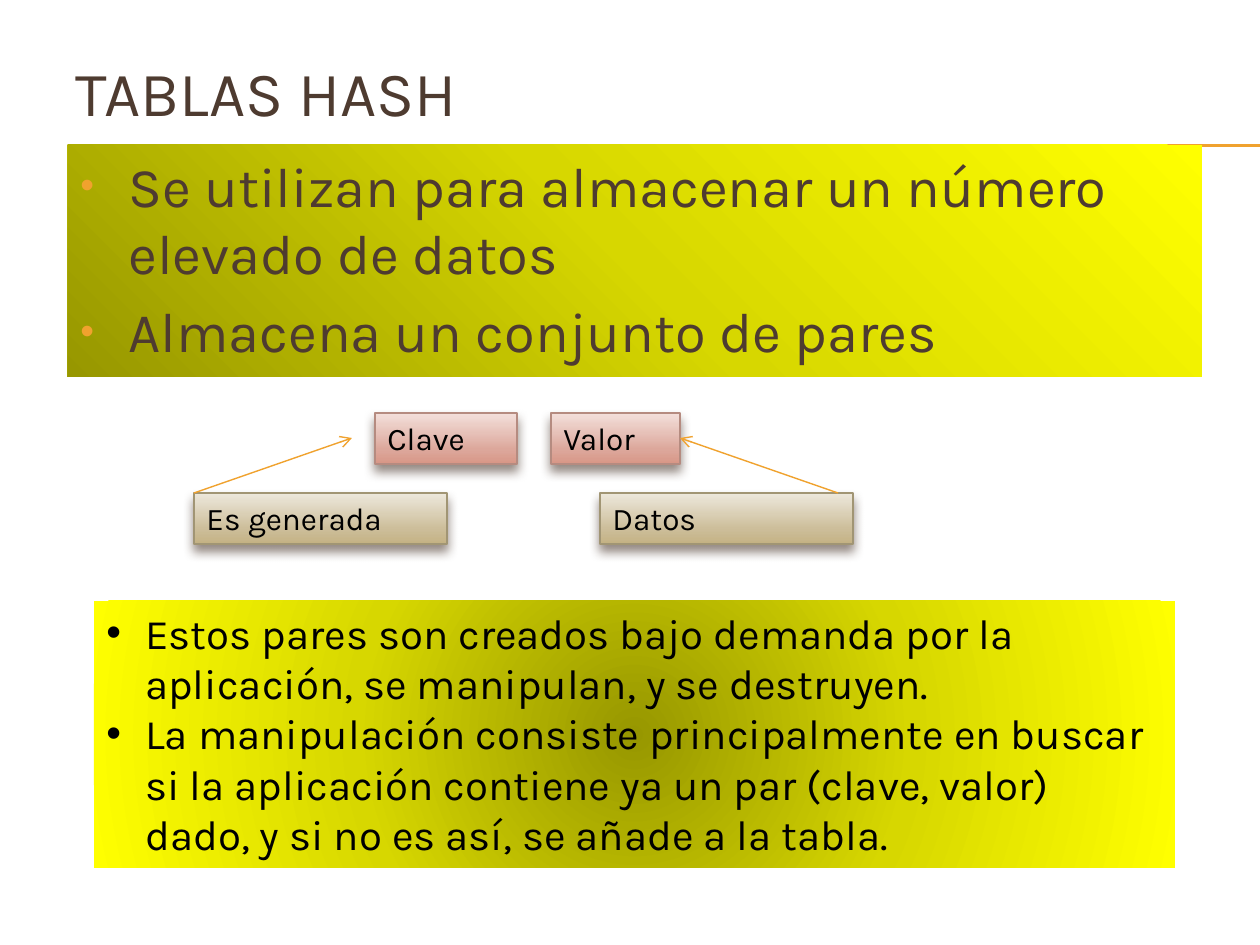
"""Build the slide about hash tables."""
from lxml import etree
from pptx import Presentation
from pptx import util as u
from pptx.dml.color import RGBColor
from pptx.enum import shapes, text
from pptx.oxml import ns

SCALE = 914400 / 126
FONT = "Karla"
COLORS = {"brown": "4E3B30", "orange": "F0A22E", "black": "000000",
          "pink_edge": "B58B80", "tan_edge": "A19574"}
YELLOW = [(0, "979700"), (50, "D7D700"), (100, "FFFF00")]
PINK = [(0, "F3E0DB"), (72, "DCA79B"), (100, "D89787")]
TAN = [(0, "EDE8DC"), (72, "CCBD99"), (100, "C4B284")]
CORNER = {"l": 0, "t": 100, "r": 100, "b": 0}
CENTRE = {"l": 50, "t": 50, "r": 50, "b": 50}


def px(*lengths):
    """Turn pixels into EMU."""
    return [u.Emu(round(length * SCALE)) for length in lengths]


def rgb(name):
    """Return a named colour."""
    return RGBColor.from_string(COLORS[name])


def add_xml(parent, tag, **values):
    """Append a drawing element with attributes."""
    return etree.SubElement(parent, ns.qn("a:" + tag),
                            {key: str(value) for key, value in values.items()})


def apply(target, values):
    """Set attributes from a dict."""
    for name, value in values.items():
        setattr(target, name, value)


def write(shape, lines, size, color, anchor=text.MSO_ANCHOR.TOP,
          fit=text.MSO_AUTO_SIZE.NONE, before=0):
    """Fill a shape with left-aligned paragraphs."""
    frame = shape.text_frame
    frame.text = "\n".join(lines)
    apply(frame, {"word_wrap": True, "auto_size": fit, "vertical_anchor": anchor})
    for para in frame.paragraphs:
        apply(para, {"alignment": text.PP_ALIGN.LEFT, "space_before": u.Pt(before)})
        for span in para.runs:
            apply(span.font, {"size": u.Pt(size), "name": FONT})
            span.font.color.rgb = rgb(color)


def add_bullets(shape, indent, color=None, percent=100):
    """Give each paragraph a hanging bullet."""
    width = px(indent)[0]
    for para in shape.text_frame.paragraphs:
        props = para._p.get_or_add_pPr()
        props.set("marL", str(width))
        props.set("indent", str(-width))
        if color:
            add_xml(add_xml(props, "buClr"), "srgbClr", val=COLORS[color])
        add_xml(props, "buSzPct", val=percent * 1000)
        add_xml(props, "buFont", typeface="Arial")
        add_xml(props, "buChar", char="•")


def add_box(page, place, stops, focus=None):
    """Add a rectangle with a linear or a radial gradient."""
    box = page.shapes.add_shape(shapes.MSO_SHAPE.RECTANGLE, *px(*place))
    box.shadow.inherit = False
    box.line.fill.background()
    box.fill.gradient()
    fill = box._element.spPr.find(ns.qn("a:gradFill"))
    for child in list(fill):
        fill.remove(child)
    stop_list = add_xml(fill, "gsLst")
    for position, color in stops:
        stop = add_xml(stop_list, "gs", pos=position * 1000)
        add_xml(stop, "srgbClr", val=color)
    if focus:
        radial = add_xml(fill, "path", path="circle")
        add_xml(radial, "fillToRect", **{side: part * 1000 for side, part in focus.items()})
    else:
        add_xml(fill, "lin", ang=5400000, scaled=0)
    return box


def add_label(page, place, wording, stops, edge):
    """Add a small outlined label with a soft shadow."""
    box = add_box(page, place, stops)
    box.line.color.rgb = rgb(edge)
    box.line.width = u.Pt(0.79)
    effects = box._element.spPr.find(ns.qn("a:effectLst"))
    shadow = add_xml(effects, "outerShdw", blurRad=u.Pt(6), dist=u.Pt(4),
                     dir=5400000, rotWithShape=0)
    add_xml(add_xml(shadow, "srgbClr", val=COLORS["brown"]), "alpha", val=60000)
    write(box, [wording], 18, "black", fit=text.MSO_AUTO_SIZE.SHAPE_TO_FIT_TEXT)


def add_line(page, ends, width, arrow=False):
    """Add an orange line, with an arrowhead on request."""
    line = page.shapes.add_connector(shapes.MSO_CONNECTOR.STRAIGHT, *px(*ends))
    line.line.color.rgb = rgb("orange")
    line.line.width = u.Pt(width)
    if arrow:
        add_xml(line.line._get_or_add_ln(), "tailEnd", type="arrow")
    add_xml(line._element.spPr, "effectLst")


def add_title(page, place, wording):
    """Place and format the title."""
    title = page.shapes.title
    apply(title, dict(zip(("left", "top", "width", "height"), px(*place))))
    write(title, [wording], 36, "brown", text.MSO_ANCHOR.MIDDLE)


def main():
    """Build and save the deck."""
    deck = Presentation()
    deck.slide_width, deck.slide_height = px(1260, 945)
    page = deck.slides.add_slide(deck.slide_layouts[5])

    for level in (145, 146):
        add_line(page, (71, level, 1260, level), 0.75)
    add_title(page, (63, 38, 1134, 107), "TABLAS HASH")

    uses = add_box(page, (68, 145, 1134, 232), YELLOW, CORNER)
    write(uses, ["Se utilizan para almacenar un número elevado de datos",
                 "Almacena un conjunto de pares"], 32, "brown", before=6.4)
    add_bullets(uses, 48, "orange", 70)

    for left, width, wording in ((375, 142, "Clave"), (551, 129, "Valor")):
        add_label(page, (left, 413, width, 51), wording, PINK, "pink_edge")

    pairs = add_box(page, (94, 601, 1081, 267), YELLOW, CENTRE)
    write(pairs, ["Estos pares son creados bajo demanda por la aplicación, "
                  "se manipulan, y se destruyen.",
                  "La manipulación consiste principalmente en buscar si la aplicación "
                  "contiene ya un par (clave, valor) dado, y si no es así, "
                  "se añade a la tabla."], 24, "black",
          fit=text.MSO_AUTO_SIZE.SHAPE_TO_FIT_TEXT)
    add_bullets(pairs, 39)

    for left, wording in ((194, "Es generada"), (600, "Datos")):
        add_label(page, (left, 493, 253, 51), wording, TAN, "tan_edge")
    for start, end in ((194, 352), (838, 680)):
        add_line(page, (start, 493, end, 438), 0.79, arrow=True)

    deck.save("out.pptx")


if __name__ == "__main__":
    main()
